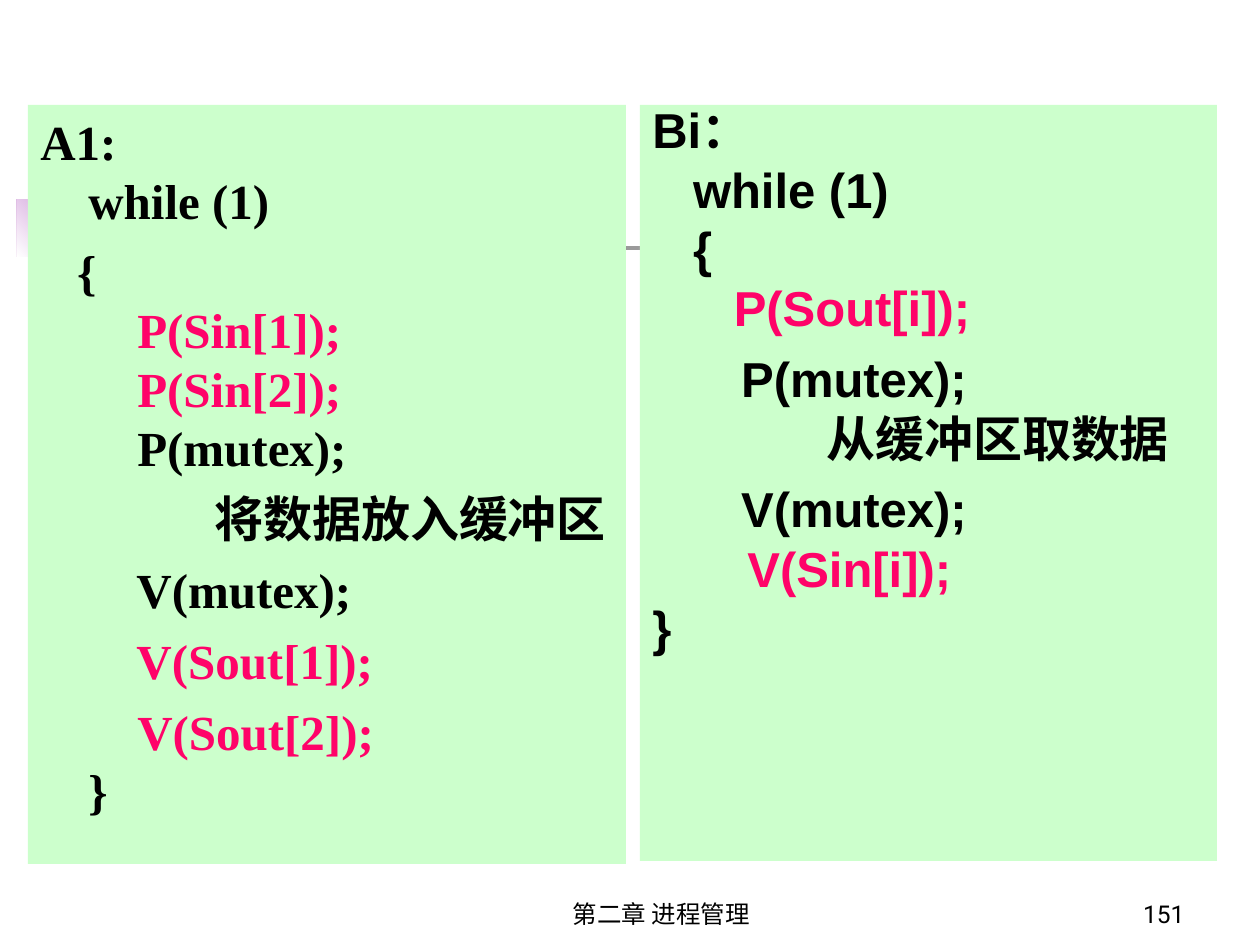
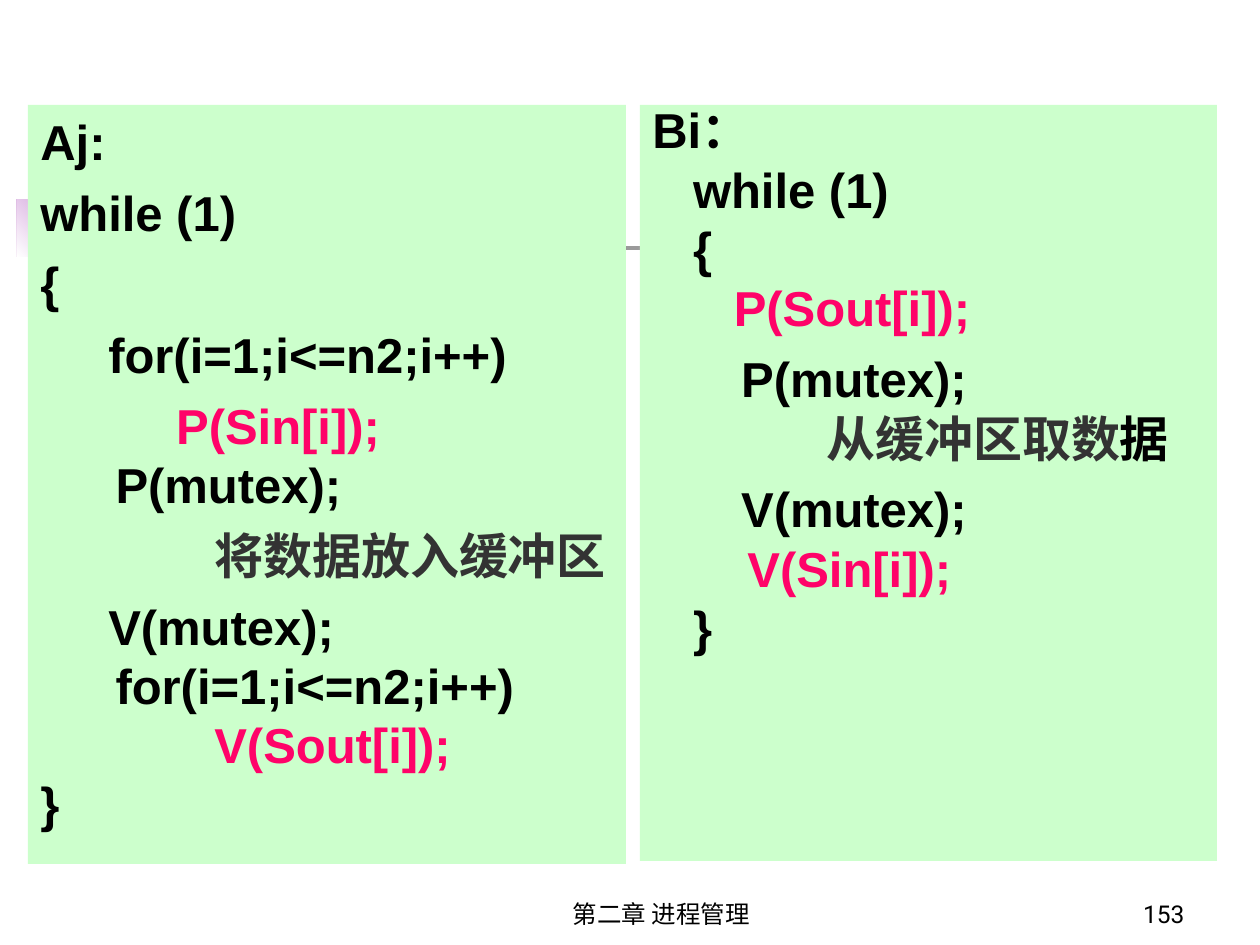
"""Build two slides of semaphore code for producers and consumers."""
from pptx import Presentation
from pptx import util as u
from pptx.dml.color import RGBColor
from pptx.enum import shapes, text

PX = 914400 // 126
BLACK, GRAY, PINK, GREEN = "000000", "333333", "FF0369", "CCFFCC"
LILAC, WHITE = "C481CF", "FFFFFF"
SERIF, SANS, FOOTER_FONT = "Times New Roman", "Arial", "Roboto"

BARS = [
    ((17, 199, 77, 58), (LILAC, WHITE), 225),
    ((60, 246, 1134, 4), (WHITE, GRAY), 180),
]
CONSUMER_BOX = (640, 105, 577, 756)
PRODUCER_BOX = (28, 105, 598, 759)
CHAPTER_BOX = (462, 872, 399, 63)
NUMBER_BOX = (935, 872, 262, 63)
CHAPTER = "第二章 进程管理"

MARGINS = {"hang": (48, -48), "code": (48, 0), "note": (174, 0)}
LOOSE = {"hang": 1.0, "code": 1.0, "note": 1.0}
TIGHT = {"hang": 0.8, "code": 1.0, "note": 0.8}
GAP = 7


def consumer(note, close):
    """Return the consumer's rows with the given note runs and closing brace."""
    return [
        ("hang", GAP, [("Bi:".replace(":", "："), BLACK)]),
        ("hang", GAP, [("   while (1)", BLACK)]),
        ("hang", GAP, [("   {", BLACK)]),
        ("hang", GAP, [("      P(Sout[i]);", PINK)]),
        ("code", GAP, [("   P(mutex);", BLACK)]),
        ("note", GAP, note),
        ("code", GAP, [("   V(mutex);", BLACK)]),
        ("hang", GAP, [("       V(Sin[i]);", PINK)]),
        ("hang", GAP, [(close, BLACK)]),
    ]


SLIDES = [
    {
        "number": "151",
        "font": SERIF,
        "producer": [
            ("hang", GAP, [("A1:\vwhile (1)", BLACK)]),
            ("hang", GAP, [("   {\v", BLACK),
                           ("    P(Sin[1]);\v    P(Sin[2]);\v", PINK),
                           ("    P(mutex);", BLACK)]),
            ("note", GAP, [("将数据放入缓冲区", BLACK)]),
            ("code", GAP, [("    V(mutex);", BLACK)]),
            ("code", GAP, [("    V(Sout[1]);", PINK)]),
            ("hang", GAP, [("        V(Sout[2]);\v", PINK), ("}", BLACK)]),
        ],
        "consumer": consumer([("从缓冲区取数据", BLACK)], "}"),
    },
    {
        "number": "153",
        "font": SANS,
        "producer": [
            ("hang", GAP, [("Aj:", BLACK)]),
            ("hang", GAP, [("while (1)", BLACK)]),
            ("hang", GAP, [("{", BLACK)]),
            ("hang", GAP, [("     for(i=1;i<=n2;i++)", BLACK)]),
            ("hang", GAP, [("          P(Sin[i]);\v", PINK),
                           ("  P(mutex);", BLACK)]),
            ("note", GAP, [("将数据放入缓冲区", GRAY)]),
            ("hang", GAP, [("     V(mutex);", BLACK)]),
            ("code", 0, [("  for(i=1;i<=n2;i++)", BLACK)]),
            ("note", 0, [("V(Sout[i]);", PINK)]),
            ("hang", 0, [("}", BLACK)]),
        ],
        "consumer": consumer([("从缓冲区取数", GRAY), ("据", BLACK)], "   }"),
    },
]


def rgb(value):
    """Turn a hex string into a colour."""
    return RGBColor.from_string(value)


def place(box):
    """Scale a box from px to EMU."""
    return [v * PX for v in box]


def rect(s, box):
    """Add a rectangle with no line and no shadow."""
    sp = s.shapes.add_shape(shapes.MSO_SHAPE.RECTANGLE, *place(box))
    sp.shadow.inherit = False
    sp.line.fill.background()
    return sp


def add_run(p, words, color, **font):
    """Add formatted words to a paragraph, breaking the line at each \\v."""
    for i, part in enumerate(words.split("\v")):
        if i:
            p.add_line_break()
        if part:
            r = p.add_run()
            r.text = part
            r.font.color.rgb = rgb(color)
            for name, value in font.items():
                setattr(r.font, name, value)


def add_bar(s, box, colors, angle):
    """Add a rectangle filled with a two-colour gradient."""
    fill = rect(s, box).fill
    fill.gradient()
    fill.gradient_angle = angle
    for stop, color in zip(fill.gradient_stops, colors):
        stop.color.rgb = rgb(color)


def add_panel(s, box, rows, font, spacing):
    """Add a green panel of code."""
    sp = rect(s, box)
    sp.fill.solid()
    sp.fill.fore_color.rgb = rgb(GREEN)
    tf = sp.text_frame
    tf.word_wrap = True
    tf.vertical_anchor = text.MSO_ANCHOR.TOP
    for i, (kind, before, runs) in enumerate(rows):
        p = tf.add_paragraph() if i else tf.paragraphs[0]
        left, indent = place(MARGINS[kind])
        pPr = p._p.get_or_add_pPr()
        pPr.set("marL", str(left))
        pPr.set("indent", str(indent))
        layout = {"alignment": text.PP_ALIGN.LEFT, "line_spacing": spacing[kind],
                  "space_before": u.Pt(before if i else 0)}
        for name, value in layout.items():
            setattr(p, name, value)
        p.font.size = u.Pt(28)
        for words, color in runs:
            add_run(p, words, color, name=font, size=u.Pt(28), bold=True)


def add_footer(s, box, words, align):
    """Add a line of footer text."""
    tf = s.shapes.add_textbox(*place(box)).text_frame
    tf.word_wrap = True
    tf.vertical_anchor = text.MSO_ANCHOR.BOTTOM
    p = tf.paragraphs[0]
    p.alignment = align
    add_run(p, words, BLACK, name=FOOTER_FONT, size=u.Pt(14))


def main():
    """Build and save the presentation."""
    prs = Presentation()
    prs.slide_width, prs.slide_height = u.Inches(10), u.Inches(7.5)
    for data in SLIDES:
        s = prs.slides.add_slide(prs.slide_layouts[6])
        for bar in BARS:
            add_bar(s, *bar)
        add_panel(s, CONSUMER_BOX, data["consumer"], SANS, TIGHT)
        add_panel(s, PRODUCER_BOX, data["producer"], data["font"], LOOSE)
        add_footer(s, CHAPTER_BOX, CHAPTER, text.PP_ALIGN.CENTER)
        add_footer(s, NUMBER_BOX, data["number"], text.PP_ALIGN.RIGHT)
    prs.save("out.pptx")


if __name__ == "__main__":
    main()
